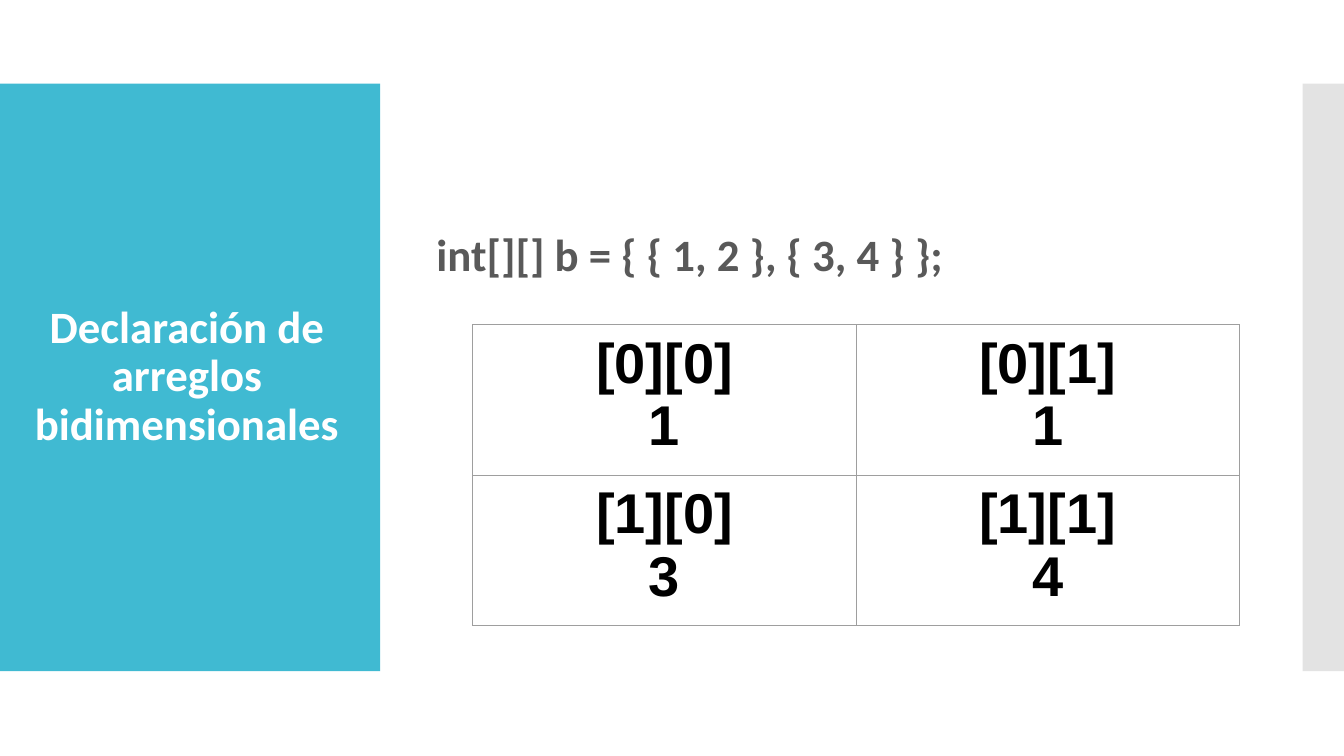
from lxml import etree
from pptx import Presentation
from pptx.dml.color import RGBColor
from pptx.enum.shapes import MSO_SHAPE
from pptx.enum.text import MSO_ANCHOR, PP_ALIGN
from pptx.oxml.ns import qn
from pptx.util import Inches, Pt

RECTANGLE = MSO_SHAPE.RECTANGLE
MIDDLE = MSO_ANCHOR.MIDDLE
LEFT, CENTER = PP_ALIGN.LEFT, PP_ALIGN.CENTER

TITLE = "Declaración de arreglos bidimensionales"
DECLARATION = "int[][] b = { { 1, 2 }, { 3, 4 } };"
ARRAY_VALUES = [["1", "1"], ["3", "4"]]

THEME = {
    "accent": "40BAD2", "edge": "C8C8C8", "edge_alpha": 50,
    "title": "FFFFFF", "code": "595959", "cell": "000000", "border": "9E9E9E",
    "text_font": "Calibri", "cell_font": "Arial",
    "text_size": 32, "cell_size": 40, "border_width": 0.75,
}

SLIDE_WIDTH, SLIDE_HEIGHT = 13.33, 7.5
BAND_TOP, BAND_HEIGHT = 0.83, 5.83
TITLE_WIDTH, EDGE_LEFT = 3.77, 12.92
TABLE_LEFT, TABLE_TOP = 4.69, 3.22
COLUMN_WIDTH, ROW_HEIGHT = 3.8, 1.44
CELL_MARGIN = 0.08


def add_band(slide, left, width, color):
    band = slide.shapes.add_shape(RECTANGLE, Inches(left), Inches(BAND_TOP),
                                  Inches(width), Inches(BAND_HEIGHT))
    band.shadow.inherit = False
    band.fill.solid()
    band.fill.fore_color.rgb = RGBColor.from_string(color)
    band.line.fill.background()
    return band


def set_opacity(shape, percent):
    color = shape.fill._xPr.find(qn("a:solidFill"))[0]
    etree.SubElement(color, qn("a:alpha"), val=str(percent * 1000))


def style_paragraph(paragraph, font_name, size, color, alignment):
    paragraph.alignment = alignment
    font = paragraph.font
    font.name, font.size, font.bold = font_name, Pt(size), True
    font.color.rgb = RGBColor.from_string(color)


def add_text(slide, text, left, top, width, height, color, alignment):
    box = slide.shapes.add_textbox(Inches(left), Inches(top), Inches(width), Inches(height))
    frame = box.text_frame
    frame.word_wrap = True
    frame.vertical_anchor = MIDDLE
    frame.margin_left = frame.margin_right = Inches(0.1)
    frame.margin_top = frame.margin_bottom = Inches(0.1)
    paragraph = frame.paragraphs[0]
    paragraph.text = text
    paragraph.line_spacing = 0.9
    style_paragraph(paragraph, THEME["text_font"], THEME["text_size"], color, alignment)


def add_borders(cell):
    """Draw all four cell borders; they must precede the fill in the XML."""
    properties = cell._tc.get_or_add_tcPr()
    for position, side in enumerate(("lnL", "lnR", "lnT", "lnB")):
        line = etree.Element(qn(f"a:{side}"), w=str(Pt(THEME["border_width"])))
        fill = etree.SubElement(line, qn("a:solidFill"))
        etree.SubElement(fill, qn("a:srgbClr"), val=THEME["border"])
        properties.insert(position, line)


def add_array_table(slide):
    row_count, column_count = len(ARRAY_VALUES), len(ARRAY_VALUES[0])
    table = slide.shapes.add_table(
        row_count, column_count, Inches(TABLE_LEFT), Inches(TABLE_TOP),
        Inches(COLUMN_WIDTH * column_count), Inches(ROW_HEIGHT * row_count)).table
    table.first_row = table.horz_banding = False
    for row, values in enumerate(ARRAY_VALUES):
        for column, value in enumerate(values):
            cell = table.cell(row, column)
            cell.fill.background()
            cell.margin_left = cell.margin_right = Inches(0.1)
            cell.margin_top = cell.margin_bottom = Inches(CELL_MARGIN)
            cell.text = f"[{row}][{column}]\n{value}"
            for paragraph in cell.text_frame.paragraphs:
                style_paragraph(paragraph, THEME["cell_font"], THEME["cell_size"],
                                THEME["cell"], CENTER)
            add_borders(cell)


def main():
    deck = Presentation()
    deck.slide_width, deck.slide_height = Inches(SLIDE_WIDTH), Inches(SLIDE_HEIGHT)
    slide = deck.slides.add_slide(deck.slide_layouts[6])
    add_band(slide, 0, TITLE_WIDTH, THEME["accent"])
    edge = add_band(slide, EDGE_LEFT, SLIDE_WIDTH - EDGE_LEFT, THEME["edge"])
    set_opacity(edge, THEME["edge_alpha"])
    add_text(slide, TITLE, 0, 1.23, 3.71, 5.03, THEME["title"], CENTER)
    add_text(slide, DECLARATION, 4.23, 2.2, 8, 0.7, THEME["code"], LEFT)
    add_array_table(slide)
    deck.save("out.pptx")


if __name__ == "__main__":
    main()
